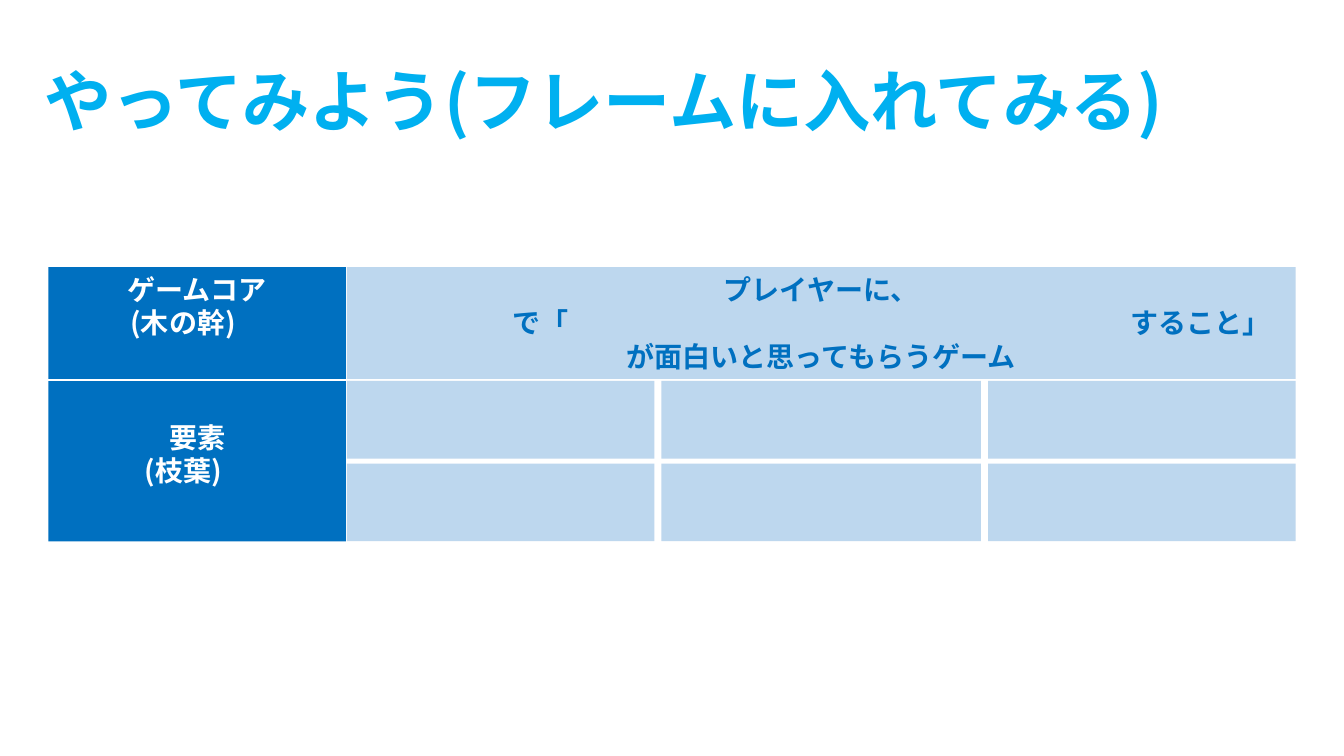
from lxml import etree
from pptx import Presentation
from pptx.dml.color import RGBColor
from pptx.enum.shapes import MSO_SHAPE
from pptx.enum.text import MSO_ANCHOR, PP_ALIGN
from pptx.oxml.ns import qn
from pptx.util import Emu, Pt

RECTANGLE = MSO_SHAPE.RECTANGLE
TOP, MIDDLE = MSO_ANCHOR.TOP, MSO_ANCHOR.MIDDLE
LEFT, CENTER = PP_ALIGN.LEFT, PP_ALIGN.CENTER

FONT = "Noto Sans CJK JP"
SKY, BLUE, PALE, WHITE = "00B0F0", "0070C0", "BDD7EE", "FFFFFF"


def px(length):
    return Emu(length * 9144)


def color(value):
    return RGBColor.from_string(value)


def set_all(target, values):
    for name, value in values.items():
        setattr(target, name, value)


def add_tab_stops(paragraph, stops):
    tab_list = etree.SubElement(paragraph._p.get_or_add_pPr(), qn("a:tabLst"))
    for stop in stops:
        etree.SubElement(tab_list, qn("a:tab"), pos=str(px(stop)), algn="l")


def write_text(shape, lines, size, font_color, frame_format, paragraph_format):
    frame = shape.text_frame
    set_all(frame, {"word_wrap": True, **frame_format})
    for index, line in enumerate(lines):
        paragraph = frame.add_paragraph() if index else frame.paragraphs[0]
        set_all(paragraph, paragraph_format)
        run = paragraph.add_run()
        run.text = line
        set_all(run.font, {"size": Pt(size), "bold": True, "name": FONT})
        run.font.color.rgb = color(font_color)
        east_asian = etree.SubElement(run._r.get_or_add_rPr(), qn("a:ea"))
        east_asian.set("typeface", FONT)


def add_block(slide, box, fill, lines=(), font_color=WHITE, margin_top=5):
    shape = slide.shapes.add_shape(RECTANGLE, *map(px, box))
    shape.shadow.inherit = False
    shape.fill.solid()
    shape.fill.fore_color.rgb = color(fill)
    shape.line.fill.background()
    frame_format = {"vertical_anchor": TOP, "margin_top": px(margin_top)}
    write_text(shape, lines, 20, font_color, frame_format, {"alignment": CENTER})
    return shape


def add_title(slide, box, text):
    title = slide.shapes.add_textbox(*map(px, box))
    write_text(title, [text], 48, SKY, {"vertical_anchor": MIDDLE},
               {"alignment": LEFT, "line_spacing": 0.9})


def add_core_row(slide, box, label_width):
    left, top, width, height = box
    add_block(slide, (left, top, label_width, height), BLUE, ["ゲームコア", "(木の幹)　"])
    sentence_left = left + label_width + 1
    sentence = add_block(
        slide, (sentence_left, top, left + width - sentence_left, height), PALE,
        ["プレイヤーに、", "\tで「\tすること」", "が面白いと思ってもらうゲーム"], BLUE)
    blank_line = sentence.text_frame.paragraphs[1]
    blank_line.alignment = LEFT
    add_tab_stops(blank_line, (154, 767))


def add_element_grid(slide, box, label_width):
    left, top, width, height = box
    add_block(slide, (left, top, label_width, height), BLUE,
              ["要素", "(枝葉)　"], margin_top=39)
    column_gap, row_gap = 7, 5
    cell_height = (height - row_gap) // 2
    for row in range(2):
        cell_left = left + label_width + 1
        for cell_width in (305, 317, 305):
            cell_top = top + row * (cell_height + row_gap)
            add_block(slide, (cell_left, cell_top, cell_width, cell_height), PALE)
            cell_left += cell_width + column_gap


def main():
    presentation = Presentation()
    set_all(presentation, {"slide_width": px(1333), "slide_height": px(750)})
    slide = presentation.slides.add_slide(presentation.slide_layouts[6])
    add_title(slide, (34, 62, 1150, 83), "やってみよう(フレームに入れてみる)")
    add_core_row(slide, (48, 265, 1237, 111), 295)
    add_element_grid(slide, (48, 378, 1237, 159), 295)
    presentation.save("out.pptx")


if __name__ == "__main__":
    main()
